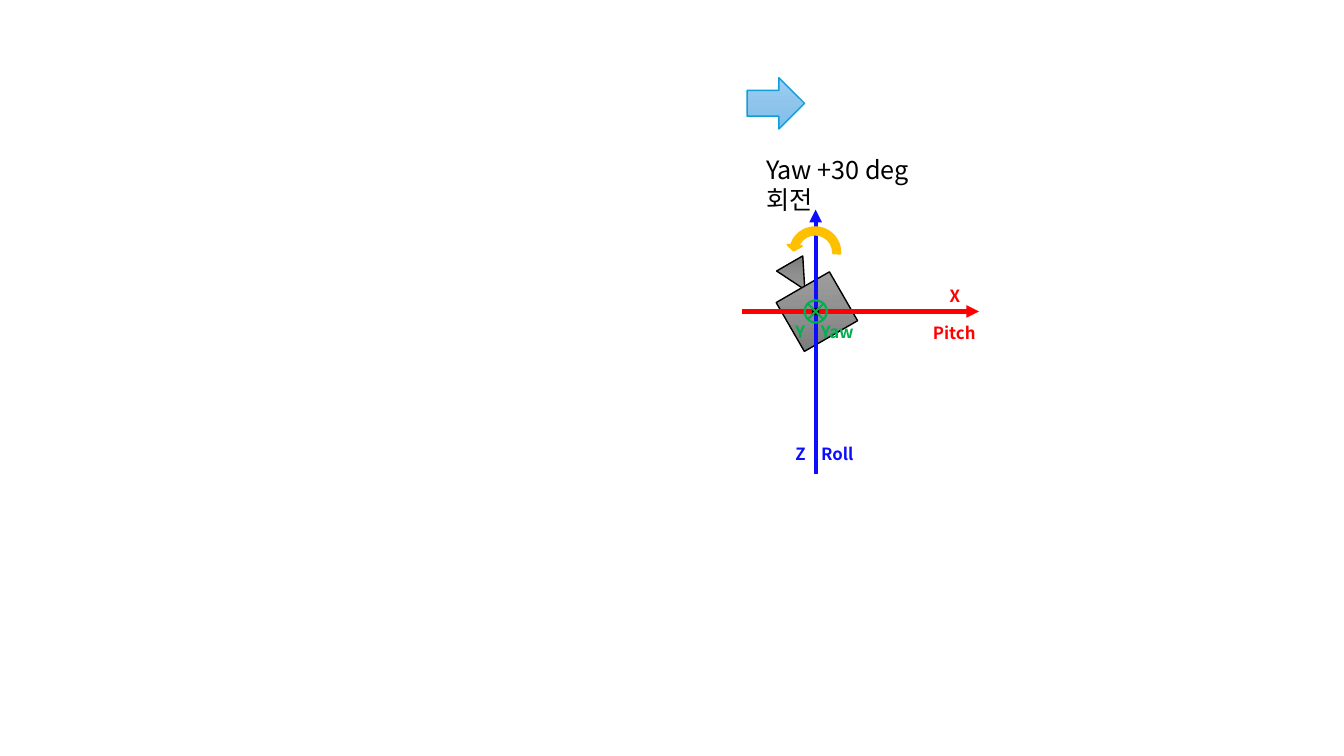
from pptx import Presentation
from pptx.dml.color import RGBColor
from pptx.enum.shapes import MSO_CONNECTOR, MSO_SHAPE
from pptx.enum.text import MSO_AUTO_SIZE, PP_ALIGN
from pptx.oxml import parse_xml
from pptx.oxml.ns import nsdecls
from pptx.util import Inches, Pt
from lxml import etree

STRAIGHT = MSO_CONNECTOR.STRAIGHT
LEFT, CENTER = PP_ALIGN.LEFT, PP_ALIGN.CENTER
FIT_SHAPE = MSO_AUTO_SIZE.SHAPE_TO_FIT_TEXT

FONT = "Noto Sans CJK KR"
BLACK = RGBColor(0, 0, 0)
RED = RGBColor(0xFF, 0, 0)
BLUE = RGBColor(0x0E, 0x0E, 0xFF)
GREEN = RGBColor(0, 0xB0, 0x50)
GOLD = RGBColor(0xFF, 0xC0, 0)
SKY = RGBColor(0x0F, 0x9E, 0xD5)
SKY_FADE = ("9ECFF5", "90C4EB", "7CBEED")
GRAY_FADE = ("9D9D9D", "909090", "7C7C7C")

TITLE_LINES = ("Yaw +30 deg", "회전")
ORIGIN_X, ORIGIN_Y = 8.09, 3.09
LABEL_HEIGHT = 0.3
LETTER_WIDTH, ROTATION_WIDTH = 0.3, 0.71
AXES = [
    (BLUE, (0, 1.61), (0, -1.01)),
    (RED, (-0.73, 0), (1.62, 0)),
]
AXIS_LABELS = [
    ("X", "Pitch", RED, (1.23, -0.3), (1.02, 0.06)),
    ("Z", "Roll", BLUE, (-0.3, 1.26), (-0.14, 1.26)),
    ("Y", "Yaw", GREEN, (-0.3, 0.05), (-0.14, 0.05)),
]
CROSS_REACH = 0.08
TURN_ARC = (0.125, 8.271, 204.577, 106.504, 0.125)

prs = Presentation()
prs.slide_width, prs.slide_height = Inches(13.33), Inches(7.5)
slide = prs.slides.add_slide(prs.slide_layouts[6])


def fade(shape, colors):
    stops = "".join(
        f'<a:gs pos="{i * 50000}"><a:srgbClr val="{color}"/></a:gs>'
        for i, color in enumerate(colors)
    )
    shape._element.spPr.prstGeom.addnext(parse_xml(
        f'<a:gradFill {nsdecls("a")} rotWithShape="1"><a:gsLst>{stops}</a:gsLst>'
        '<a:lin ang="5400000" scaled="0"/></a:gradFill>'))


def add_figure(parent, kind, box, line, width, fill=None):
    shape = parent.shapes.add_shape(kind, *map(Inches, box))
    shape.shadow.inherit = False
    shape.line.color.rgb = line
    shape.line.width = Pt(width)
    if isinstance(fill, tuple) and not isinstance(fill, RGBColor):
        fade(shape, fill)
    elif fill is None:
        shape.fill.background()
    else:
        shape.fill.solid()
        shape.fill.fore_color.rgb = fill
    return shape


def add_line(start, end, color, width, arrow=False):
    points = (ORIGIN_X + start[0], ORIGIN_Y + start[1],
              ORIGIN_X + end[0], ORIGIN_Y + end[1])
    connector = slide.shapes.add_connector(STRAIGHT, *map(Inches, points))
    connector.line.color.rgb = color
    connector.line.width = Pt(width)
    if arrow:
        connector.line._get_or_add_ln().append(
            parse_xml(f'<a:tailEnd {nsdecls("a")} type="triangle"/>'))
    connector._element.spPr.append(parse_xml(f'<a:effectLst {nsdecls("a")}/>'))


def add_text(lines, box, size, color, bold=False, align=LEFT):
    frame = slide.shapes.add_textbox(*map(Inches, box)).text_frame
    frame.word_wrap = True
    frame.auto_size = FIT_SHAPE
    paragraph = frame.paragraphs[0]
    paragraph.alignment = align
    for i, line in enumerate(lines):
        if i:
            paragraph.add_line_break()
        run = paragraph.add_run()
        run.text = line
        run.font.name = FONT
        run.font.size = Pt(size)
        run.font.bold = bold
        run.font.color.rgb = color
        east_asian = parse_xml(f'<a:ea {nsdecls("a")}/>')
        east_asian.set("typeface", FONT)
        run.font._element.append(east_asian)


def centered(size):
    return ORIGIN_X - size / 2, ORIGIN_Y - size / 2, size, size


add_text(TITLE_LINES, (7.5, 1.48, 2.18, 0.4), 18, BLACK)
add_figure(slide, MSO_SHAPE.RIGHT_ARROW, (7.41, 0.77, 0.57, 0.51), SKY, 1, SKY_FADE)

camera = slide.shapes.add_group_shape()
lens = add_figure(camera, MSO_SHAPE.ISOSCELES_TRIANGLE, (7.89, 2.56, 0.3, 0.3),
                  BLACK, 1, GRAY_FADE)
lens.rotation = 180
add_figure(camera, MSO_SHAPE.RECTANGLE, (7.73, 2.83, 0.61, 0.56), BLACK, 1, GRAY_FADE)
camera.rotation = 330

for color, start, end in AXES:
    add_line(start, end, color, 3, arrow=True)
add_figure(slide, MSO_SHAPE.OVAL, centered(0.05), BLACK, 1.5, BLACK)

for letter, rotation, color, letter_at, rotation_at in AXIS_LABELS:
    for word, (dx, dy), width, align in (
        (letter, letter_at, LETTER_WIDTH, LEFT),
        (rotation, rotation_at, ROTATION_WIDTH, CENTER),
    ):
        add_text([word], (ORIGIN_X + dx, ORIGIN_Y + dy, width, LABEL_HEIGHT),
                 12, color, True, align)

add_figure(slide, MSO_SHAPE.OVAL, centered(0.22), GREEN, 1.5)
for side in (-1, 1):
    reach = side * CROSS_REACH
    add_line((reach, CROSS_REACH), (-reach, -CROSS_REACH), GREEN, 1.5)

turn = add_figure(slide, MSO_SHAPE.CIRCULAR_ARROW, (7.8, 2.22, 0.57, 0.57), GOLD, 1.5, GOLD)
for i, value in enumerate(TURN_ARC):
    turn.adjustments[i] = value
turn._element.spPr.xfrm.set("flipH", "1")

prs.save("out.pptx")
